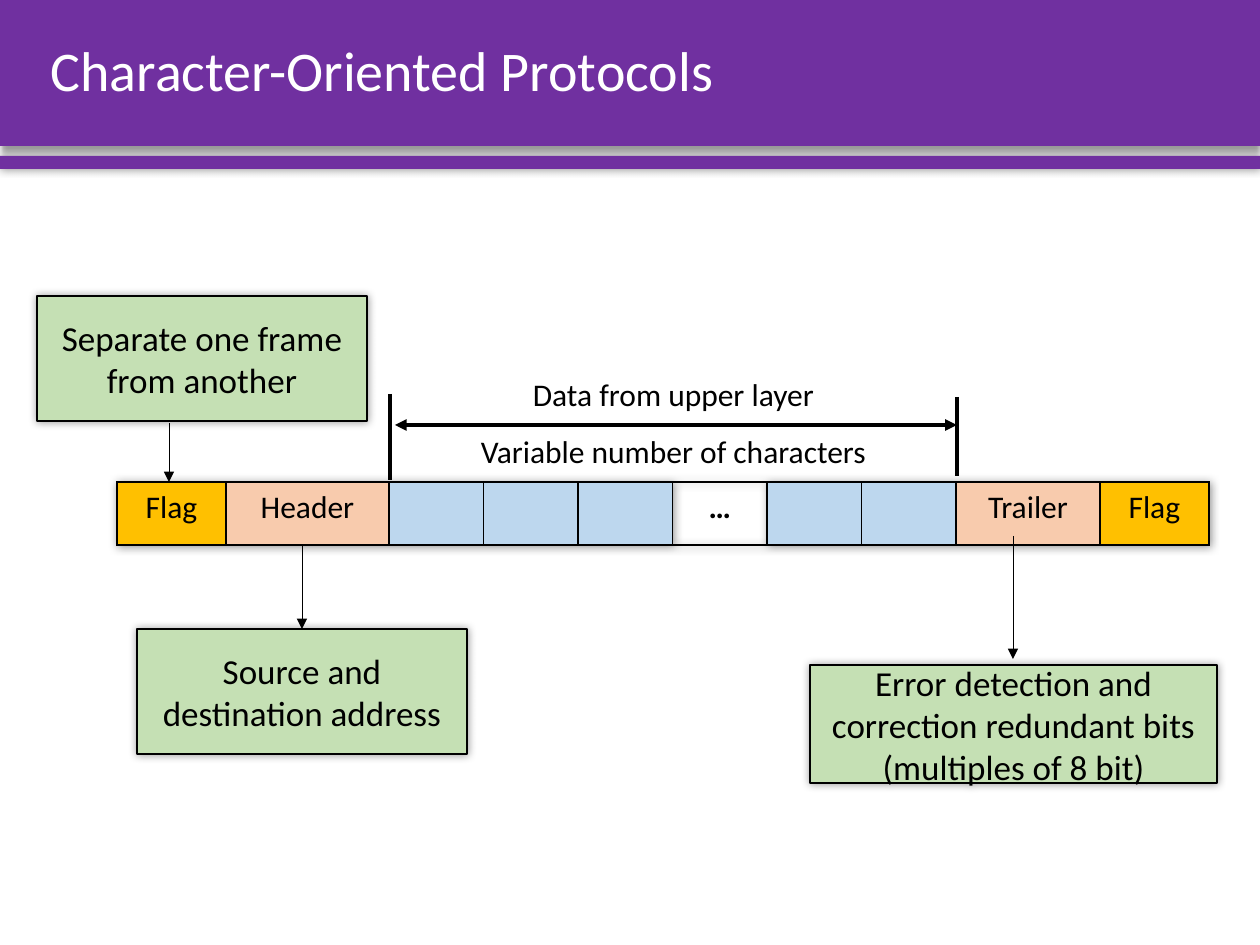
import dataclasses
import pptx
import pptx.util
import pptx.dml.color
import pptx.enum.shapes
import pptx.enum.text
import pptx.oxml
import pptx.oxml.ns

SCALE = 914400 / 126
ALIGN = pptx.enum.text.PP_ALIGN
MIDDLE = pptx.enum.text.MSO_ANCHOR.MIDDLE


@dataclasses.dataclass(frozen=True)
class Theme:
    font: str = "Calibri"
    title: int = 32
    note: int = 20
    label: int = 18
    purple: str = "7030A0"
    green: str = "C5E0B4"
    gold: str = "FFC000"
    peach: str = "F8CBAD"
    blue: str = "BDD7EE"
    black: str = "000000"
    white: str = "FFFFFF"


THEME = Theme()


def px(size):
    return pptx.util.Emu(round(size * SCALE))


def rgb(code):
    return pptx.dml.color.RGBColor.from_string(code)


def node(tag, body="", **attrs):
    pairs = "".join(f' {key}="{val}"' for key, val in attrs.items())
    space = pptx.oxml.ns.nsdecls("a")
    return pptx.oxml.parse_xml(f"<a:{tag} {space}{pairs}>{body}</a:{tag}>")


def ink(code):
    return f'<a:solidFill><a:srgbClr val="{code}"/></a:solidFill>'


def shade(blur=5, dist=0, angle=0):
    color = f'<a:srgbClr val="{THEME.black}"><a:alpha val="40000"/></a:srgbClr>'
    return node("outerShdw", color, blurRad=pptx.util.Pt(blur), dist=pptx.util.Pt(dist),
                dir=angle * 60000, rotWithShape=0)


def write(frame, text, size, color=THEME.black, align=ALIGN.CENTER, bold=False):
    frame.word_wrap = True
    para = frame.paragraphs[0]
    para.text = text
    para.alignment = align
    font = para.font
    font.name, font.size, font.bold = THEME.font, pptx.util.Pt(size), bold
    font.color.rgb = rgb(color)
    return para


def add_rect(slide, area, fill, shadow):
    kind = pptx.enum.shapes.MSO_SHAPE.RECTANGLE
    shape = slide.shapes.add_shape(kind, *map(px, area))
    shape.fill.solid()
    shape.fill.fore_color.rgb = rgb(fill)
    shape.line.fill.background()
    shape.shadow.inherit = False
    shape.element.spPr.find(pptx.oxml.ns.qn("a:effectLst")).append(shadow)
    return shape


def add_note(slide, area, text):
    shape = add_rect(slide, area, THEME.green, shade())
    shape.line.color.rgb = rgb(THEME.black)
    shape.line.width = pptx.util.Pt(1)
    shape.text_frame.vertical_anchor = MIDDLE
    write(shape.text_frame, text, THEME.note)


def add_label(slide, area, text):
    box = slide.shapes.add_textbox(*map(px, area))
    write(box.text_frame, text, THEME.label)


def add_line(slide, ends, width, *tips):
    kind = pptx.enum.shapes.MSO_CONNECTOR.STRAIGHT
    line = slide.shapes.add_connector(kind, *map(px, ends))
    line.line.color.rgb = rgb(THEME.black)
    line.line.width = pptx.util.Pt(width)
    stroke = line.element.spPr.find(pptx.oxml.ns.qn("a:ln"))
    for tip in tips:
        stroke.append(node(tip, type="triangle"))
    line.element.spPr.append(node("effectLst"))


def add_title(slide, text):
    title = slide.shapes.title
    title.left, title.top, title.width, title.height = map(px, (38, 0, 1192, 146))
    title.text_frame.vertical_anchor = MIDDLE
    para = write(title.text_frame, text, THEME.title, THEME.white, ALIGN.LEFT)
    para.line_spacing = 0.9
    title.element.getparent().append(title.element)


def fill_cell(cell, text, fill):
    if fill:
        cell.fill.solid()
        cell.fill.fore_color.rgb = rgb(fill)
    else:
        cell.fill.background()
    write(cell.text_frame, text, THEME.label, bold=text == "…")
    props = cell._tc.get_or_add_tcPr()
    for spot, side in enumerate(("lnL", "lnR", "lnT", "lnB")):
        props.insert(spot, node(side, ink(THEME.black), w=pptx.util.Pt(1)))


def add_frame(slide):
    data = ("", 94.5, THEME.blue)
    flag = ("Flag", 109, THEME.gold)
    fields = [flag, ("Header", 163, THEME.peach), *[data] * 3, ("…", 94.5, None),
              *[data] * 2, ("Trailer", 144, THEME.peach), flag]
    total = sum(width for _, width, _ in fields)
    area = map(px, (117, 482, total, 63))
    table = slide.shapes.add_table(1, len(fields), *area).table
    table.first_row = table.horz_banding = False
    effect = node("effectLst")
    effect.append(shade())
    table._tbl.tblPr.insert(0, effect)
    for spot, (text, width, fill) in enumerate(fields):
        table.columns[spot].width = px(width)
        fill_cell(table.cell(0, spot), text, fill)


def main():
    deck = pptx.Presentation()
    deck.slide_width, deck.slide_height = px(1260), px(945)
    slide = deck.slides.add_slide(deck.slide_layouts[5])

    add_rect(slide, (0, 0, 1260, 146), THEME.purple, shade(4, 3, 90))
    add_rect(slide, (0, 156, 1260, 13), THEME.purple, shade())
    add_title(slide, "Character-Oriented Protocols")

    notes = [
        ((37, 296, 330, 125), "Separate one frame from another"),
        ((137, 629, 330, 125), "Source and destination address"),
        ((810, 665, 407, 118), "Error detection and correction redundant bits (multiples of 8 bit)"),
    ]
    for area, text in notes:
        add_note(slide, area, text)

    add_frame(slide)
    for x, top, end in ((169, 423, 482), (302, 545, 629), (1013, 536, 659)):
        add_line(slide, (x, top, x, end), 0.5, "tailEnd")

    for x, top, end in ((390, 394, 480), (957, 397, 476)):
        add_line(slide, (x, top, x, end), 2.25)
    add_line(slide, (395, 425, 957, 425), 2.25, "headEnd", "tailEnd")
    add_label(slide, (395, 369, 557, 50), "Data from upper layer")
    add_label(slide, (395, 426, 557, 50), "Variable number of characters")

    deck.save("out.pptx")


if __name__ == "__main__":
    main()
